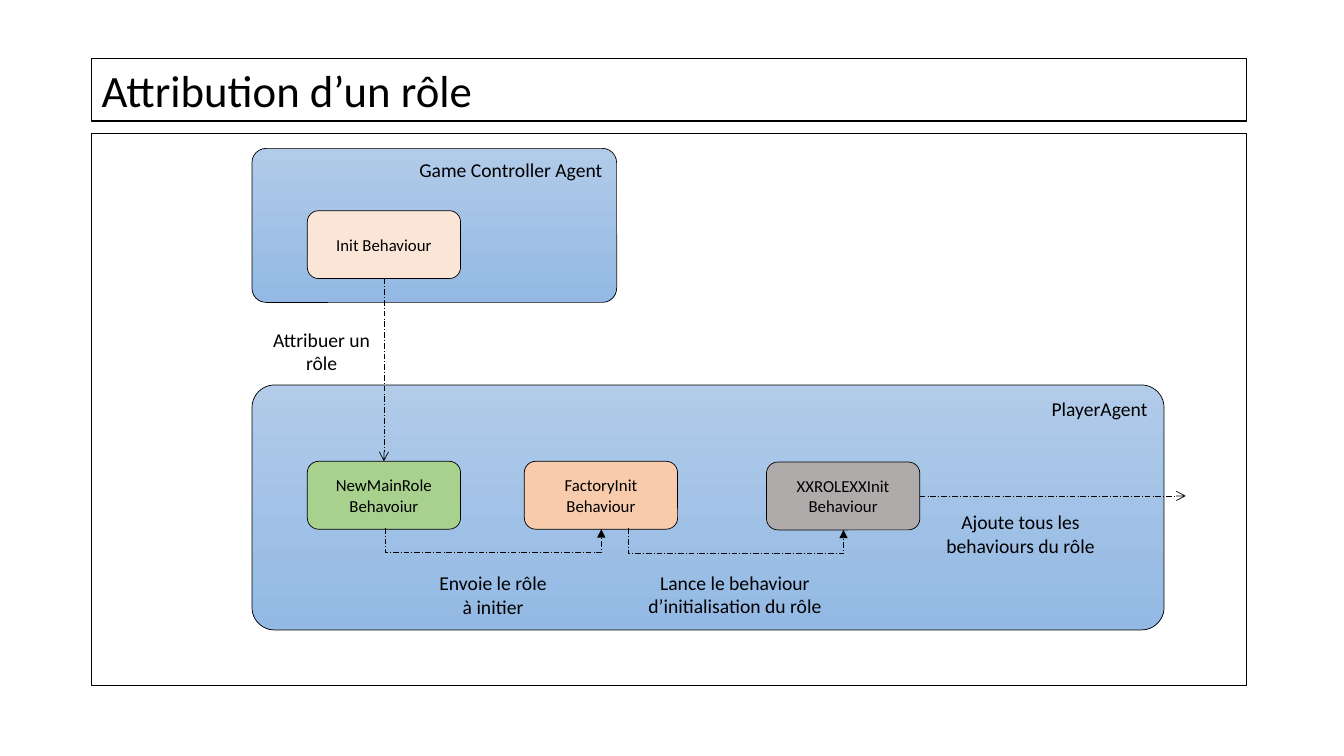
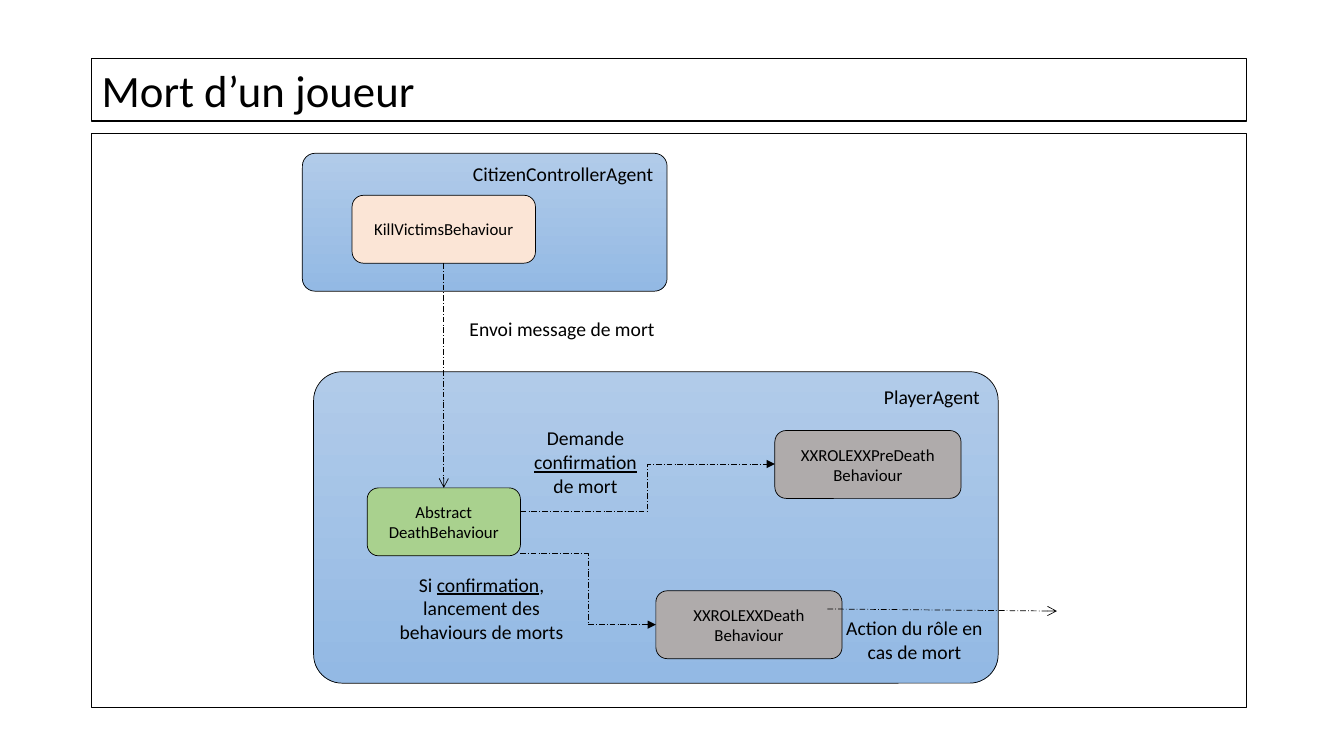
import pptx
import pptx.dml.color
import pptx.enum.dml
import pptx.enum.shapes
import pptx.enum.text
import pptx.oxml.ns
import pptx.util
from lxml import etree

Pt = pptx.util.Pt
qn = pptx.oxml.ns.qn
Shape = pptx.enum.shapes.MSO_SHAPE
Link = pptx.enum.shapes.MSO_CONNECTOR
Align = pptx.enum.text.PP_ALIGN
Anchor = pptx.enum.text.MSO_ANCHOR

COLORS = {
    "ink": "000000", "paper": "FFFFFF",
    "top": "B1CBE9", "base": "93B9E4",
    "start": "FBE5D6", "entry": "A9D18E", "maker": "F8CBAD", "role": "AFABAB",
}
FONT = "Calibri"
LEFT, WIDE = 65.5, 825
TITLE_TOP, TITLE_HIGH, FRAME_TOP = 42, 44.5, 95.5
BOX_HIGH, DROP = 48.5, 18
BOTTOM, TOP, RIGHT = 2, 0, 3

# Panels: text, left, top, width, height.  Boxes: text, colour, left, top, width.
# Notes: text, left, top, width, with underlined words between _ marks.
# Joins: from box, to box.  Exits: from box or point, end x, end y.
# Loops: start x, end x, y.  Bends: start x, y, end x, y.
SLIDES = [
    {
        "title": "Attribution d’un rôle",
        "frame": 394,
        "panels": [
            ("PlayerAgent", 180, 275, 651.5, 175),
            ("Game Controller Agent", 180, 106, 260.5, 110),
        ],
        "boxes": {
            "init": ("Init Behaviour", "start", 219.5, 150.5, 109.5),
            "new": ("NewMainRole\nBehavoiur", "entry", 219.5, 329.5, 109.5),
            "maker": ("FactoryInit\nBehaviour", "maker", 374.5, 329.5, 109.5),
            "role": ("XXROLEXXInit\nBehaviour", "role", 547.5, 330, 109.5),
        },
        "notes": [
            ("Attribuer un rôle", 180, 230.5, 99.5),
            ("Envoie le rôle à initier", 304, 404.5, 96.5),
            ("Lance le behaviour d’initialisation du rôle", 448, 404, 154),
            ("Ajoute tous les behaviours du rôle", 661, 361, 136),
        ],
        "joins": [("init", "new")],
        "exits": [("role", 847, 354.25)],
        "loops": [(275, 429, 377.5), (448, 602, 378)],
        "bends": [],
    },
    {
        "title": "Mort d’un joueur",
        "frame": 410,
        "panels": [
            ("PlayerAgent", 224, 265.5, 489, 222.5),
            ("CitizenControllerAgent", 216, 109.5, 260.5, 98.5),
        ],
        "boxes": {
            "kill": ("KillVictimsBehaviour", "start", 251.5, 139.5, 131),
            "death": ("Abstract DeathBehaviour", "entry", 262.25, 348.5, 109.5),
            "role": ("XXROLEXXDeath\nBehaviour", "role", 468.5, 422, 133),
            "pre": ("XXROLEXXPreDeath\nBehaviour", "role", 553.5, 307.5, 133),
        },
        "notes": [
            ("Envoi message de mort", 305.5, 223, 192),
            ("Si _confirmation_, lancement des behaviours de morts", 269.5, 405.5, 149),
            ("Action du rôle en cas de mort", 593.5, 436.5, 119.5),
            ("Demande _confirmation_ de mort", 370, 301, 96.5),
        ],
        "joins": [("kill", "death")],
        "exits": [((591, 435), 755, 436.5)],
        "loops": [],
        "bends": [(371.5, 395.5, 468.5, 446.25), (372, 365, 553.5, 331.5)],
    },
]


def rgb(name):
    return pptx.dml.color.RGBColor.from_string(COLORS[name])


def write(shape, text, size, align, anchor):
    """Fill a shape with text: a line break starts a paragraph, _ toggles underline."""
    frame = shape.text_frame
    frame.word_wrap = True
    frame.vertical_anchor = anchor
    for row, line in enumerate(text.split("\n")):
        para = frame.add_paragraph() if row else frame.paragraphs[0]
        para.alignment = align
        for turn, part in enumerate(line.split("_")):
            run = para.add_run()
            run.text = part
            run.font.color.rgb = rgb("ink")
            look = {"name": FONT, "size": Pt(size), "underline": turn % 2 == 1}
            for key, value in look.items():
                setattr(run.font, key, value)


def block(slide, kind, area, color, weight):
    shape = slide.shapes.add_shape(kind, *map(Pt, area))
    shape.shadow.inherit = False
    if color:
        shape.fill.solid()
        shape.fill.fore_color.rgb = rgb(color)
    shape.line.color.rgb = rgb("ink")
    shape.line.width = Pt(weight)
    return shape


def panel(slide, text, *area):
    shape = block(slide, Shape.ROUNDED_RECTANGLE, area, None, 0.5)
    shape.adjustments[0] = 0.092
    shape.fill.gradient()
    shape.fill.gradient_angle = 270
    for stop, name in zip(shape.fill.gradient_stops, ("top", "base")):
        stop.color.rgb = rgb(name)
    write(shape, text, 14, Align.RIGHT, Anchor.TOP)


def box(slide, text, color, left, top, wide):
    area = (left, top, wide, BOX_HIGH)
    shape = block(slide, Shape.ROUNDED_RECTANGLE, area, color, 0.5)
    write(shape, text, 12, Align.CENTER, Anchor.MIDDLE)
    return shape


def note(slide, text, left, top, wide):
    shape = slide.shapes.add_textbox(*map(Pt, (left, top, wide, 41)))
    write(shape, text, 14, Align.CENTER, Anchor.TOP)


def arrow(slide, kind, ends, head):
    link = slide.shapes.add_connector(kind, *map(Pt, ends))
    link.line.color.rgb = rgb("ink")
    link.line.width = Pt(0.5)
    link.line.dash_style = pptx.enum.dml.MSO_LINE.LONG_DASH_DOT
    props = link.element.spPr
    etree.SubElement(props.find(qn("a:ln")), qn("a:tailEnd"), type=head)
    etree.SubElement(props, qn("a:effectLst"))
    return link


def loop(slide, start, end, y):
    """Draw a U-shaped arrow that dips below y: an elbow turned a quarter."""
    mid, half, thin = (start + end) / 2, (end - start) / 2, 1
    ends = (mid, y - half, mid + thin, y + half)
    props = arrow(slide, Link.ELBOW, ends, "triangle").element.spPr
    form = props.find(qn("a:xfrm"))
    form.set("rot", "16200000")
    form.set("flipH", "1")
    geom = props.find(qn("a:prstGeom"))
    marks = geom.find(qn("a:avLst"))
    if marks is None:
        marks = etree.SubElement(geom, qn("a:avLst"))
    ratio = int(DROP / thin * 100000)
    etree.SubElement(marks, qn("a:gd"), name="adj1", fmla=f"val {ratio}")


def build(slide, data):
    block(slide, Shape.RECTANGLE, (LEFT, FRAME_TOP, WIDE, data["frame"]), "paper", 1)
    area = (LEFT, TITLE_TOP, WIDE, TITLE_HIGH)
    title = block(slide, Shape.RECTANGLE, area, "paper", 1)
    write(title, data["title"], 32, Align.LEFT, Anchor.MIDDLE)
    for item in data["panels"]:
        panel(slide, *item)
    boxes = {key: box(slide, *item) for key, item in data["boxes"].items()}
    for item in data["notes"]:
        note(slide, *item)
    for first, last in data["joins"]:
        link = arrow(slide, Link.STRAIGHT, (0, 0, 0, 0), "arrow")
        link.begin_connect(boxes[first], BOTTOM)
        link.end_connect(boxes[last], TOP)
    for start, x, y in data["exits"]:
        source = boxes.get(start)
        point = (x, y) if source else start
        link = arrow(slide, Link.STRAIGHT, (*point, x, y), "arrow")
        if source:
            link.begin_connect(source, RIGHT)
    for item in data["loops"]:
        loop(slide, *item)
    for ends in data["bends"]:
        arrow(slide, Link.ELBOW, ends, "triangle")


def main():
    deck = pptx.Presentation()
    deck.slide_width, deck.slide_height = Pt(960), Pt(540)
    for data in SLIDES:
        build(deck.slides.add_slide(deck.slide_layouts[6]), data)
    deck.save("out.pptx")


if __name__ == "__main__":
    main()
